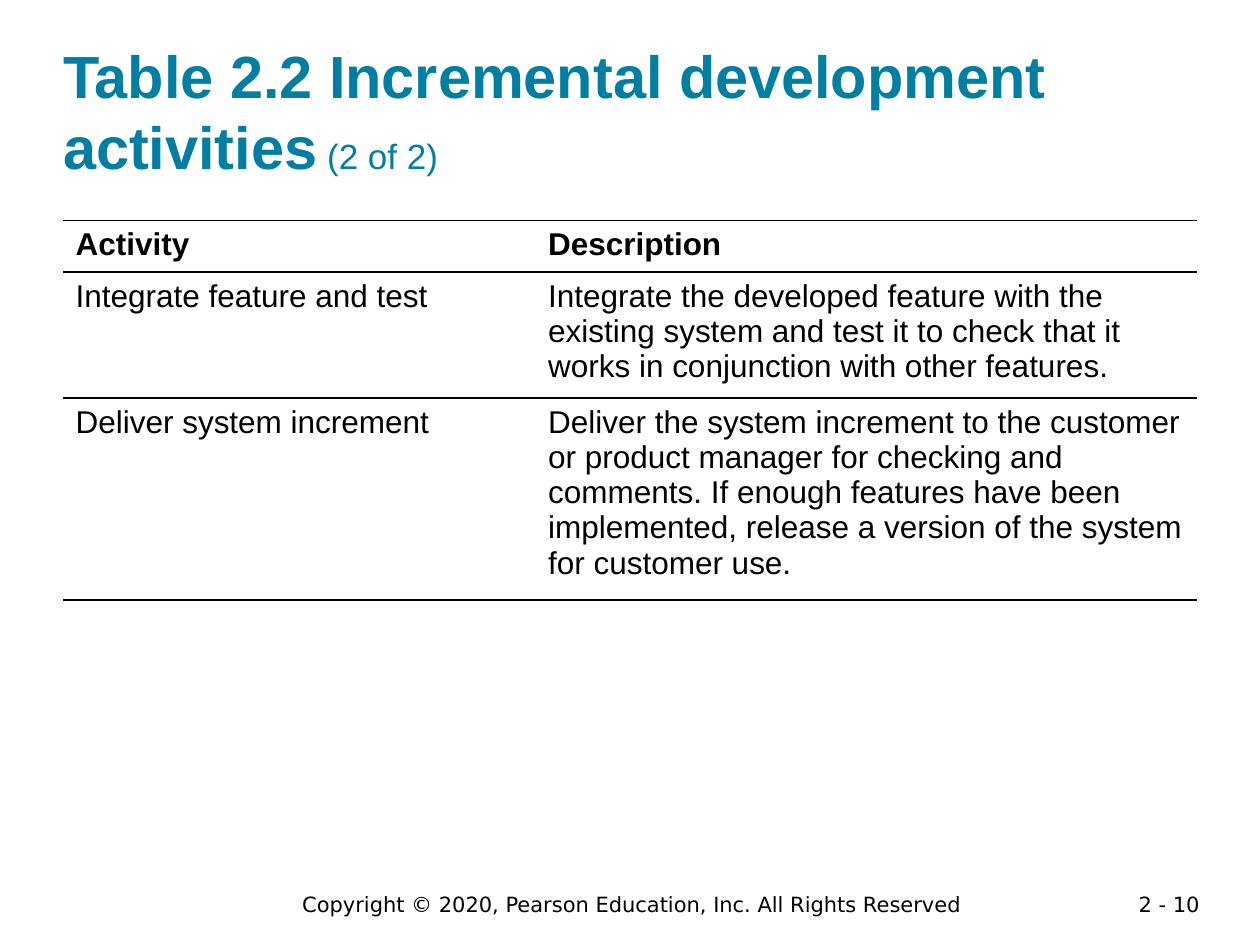
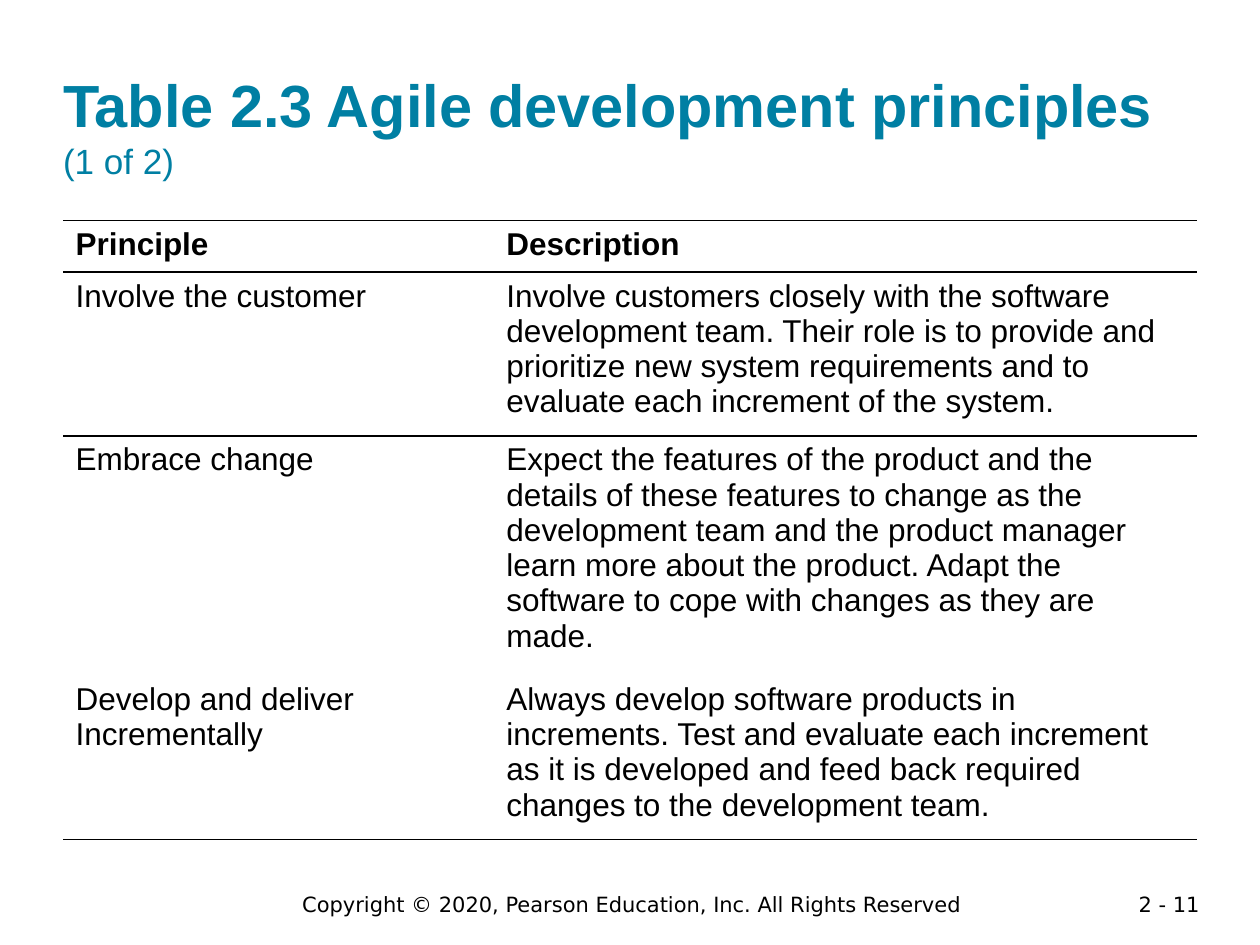
from dataclasses import dataclass

import pptx
import pptx.dml.color
import pptx.enum.text
import pptx.oxml
import pptx.oxml.ns
import pptx.util

Inches = pptx.util.Inches
Align = pptx.enum.text.PP_ALIGN
Anchor = pptx.enum.text.MSO_ANCHOR

# Shared look
BLACK = "000000"
TEAL = "007FA3"
SANS = "Arial"
FOOT = "DejaVu Sans"
NOTICE = "Copyright © 2020, Pearson Education, Inc. All Rights Reserved"
WIDTH = 9
ROW = 0.41
RULED = 3  # the first rows carry a rule above them


@dataclass
class Span:
    text: str
    size: int = 34
    bold: bool = True


@dataclass
class Page:
    number: str
    title: list[Span]
    first: float  # width of the first column
    rows: list[tuple[str, str]]


PAGES = [
    Page("2 - 10",
         [Span("Table 2.2 Incremental development activities"),
          Span(" ", 20), Span("(2 of 2)", 20, False)],
         3.75,
         [("Activity", "Description"),
          ("Integrate feature and test",
           "Integrate the developed feature with the existing system and test "
           "it to check that it works in conjunction with other features."),
          ("Deliver system increment",
           "Deliver the system increment to the customer or product manager "
           "for checking and comments. If enough features have been "
           "implemented, release a version of the system\n"
           "for customer use.")]),
    Page("2 - 11",
         [Span("Table 2.3 Agile development principles\n"),
          Span("(1 of 2)", 20, False)],
         3.42,
         [("Principle", "Description"),
          ("Involve the customer",
           "Involve customers closely with the software development team. "
           "Their role is to provide and prioritize new system requirements "
           "and to evaluate each increment of the system."),
          ("Embrace change",
           "Expect the features of the product and the details of these "
           "features to change as the development team and the product "
           "manager learn more about the product. Adapt the software to cope "
           "with changes as they are made."),
          ("Develop and deliver\nIncrementally",
           "Always develop software products in increments. Test and evaluate "
           "each increment as it is developed and feed back required changes "
           "to the development team.")]),
]


def paint(code: str) -> pptx.dml.color.RGBColor:
    return pptx.dml.color.RGBColor.from_string(code)


def write(para, text: str, *, size: int, color: str = BLACK, bold: bool = False,
          font: str = SANS, align=Align.LEFT) -> None:
    """Add a run to a paragraph; a closing newline becomes a line break."""
    para.alignment = align
    run = para.add_run()
    run.text = text.rstrip("\n")
    run.font.size = pptx.util.Pt(size)
    run.font.name = font
    run.font.bold = bold
    run.font.color.rgb = paint(color)
    if text.endswith("\n"):
        para.add_line_break()


def head(slide, spans: list[Span]) -> None:
    box = slide.shapes.title
    box.left, box.top = Inches(0.5), Inches(0.24)
    box.width, box.height = Inches(WIDTH), Inches(1.2)
    frame = box.text_frame
    frame.auto_size = pptx.enum.text.MSO_AUTO_SIZE.NONE
    frame.word_wrap = True
    frame.vertical_anchor = Anchor.BOTTOM
    frame.margin_left = frame.margin_right = Inches(0)
    frame.margin_top = frame.margin_bottom = Inches(0)
    for span in spans:
        write(frame.paragraphs[0], span.text, size=span.size, color=TEAL,
              bold=span.bold)


def foot(slide, text: str, left: float, width: float, high: float, align) -> None:
    box = slide.shapes.add_textbox(Inches(left), Inches(7.03),
                                   Inches(width), Inches(high))
    box.text_frame.word_wrap = True
    write(box.text_frame.paragraphs[0], text, size=12, font=FOOT, align=align)


def edge(cell, above: bool, below: bool) -> None:
    """Rule a cell above or below and leave its other sides bare."""
    props = cell._tc.get_or_add_tcPr()
    sides = {"L": False, "R": False, "T": above, "B": below}
    for spot, (side, drawn) in enumerate(sides.items()):
        fill = (f'<a:solidFill><a:srgbClr val="{BLACK}"/></a:solidFill>'
                if drawn else "<a:noFill/>")
        props.insert(spot, pptx.oxml.parse_xml(
            f'<a:ln{side} {pptx.oxml.ns.nsdecls("a")} w="12700">{fill}</a:ln{side}>'))


def grid(slide, page: Page) -> None:
    count = len(page.rows)
    table = slide.shapes.add_table(count, 2, Inches(0.5), Inches(1.75),
                                   Inches(WIDTH), Inches(ROW * count)).table
    table.first_row = table.horz_banding = False
    table.columns[0].width = Inches(page.first)
    table.columns[1].width = Inches(WIDTH - page.first)
    for row, texts in enumerate(page.rows):
        table.rows[row].height = Inches(ROW)
        for col, text in enumerate(texts):
            cell = table.cell(row, col)
            cell.fill.background()
            edge(cell, row < RULED, row + 1 < RULED or row + 1 == count)
            frame = cell.text_frame
            for spot, line in enumerate(text.split("\n")):
                para = frame.add_paragraph() if spot else frame.paragraphs[0]
                write(para, line, size=18, bold=row == 0)


def main() -> None:
    deck = pptx.Presentation()
    deck.slide_width, deck.slide_height = Inches(10), Inches(7.5)
    for page in PAGES:
        slide = deck.slides.add_slide(deck.slide_layouts[5])
        foot(slide, page.number, 8.62, 1, 0.22, Align.RIGHT)
        foot(slide, NOTICE, 1.64, 6.75, 0.3, Align.CENTER)
        grid(slide, page)
        head(slide, page.title)
    deck.save("out.pptx")


if __name__ == "__main__":
    main()
